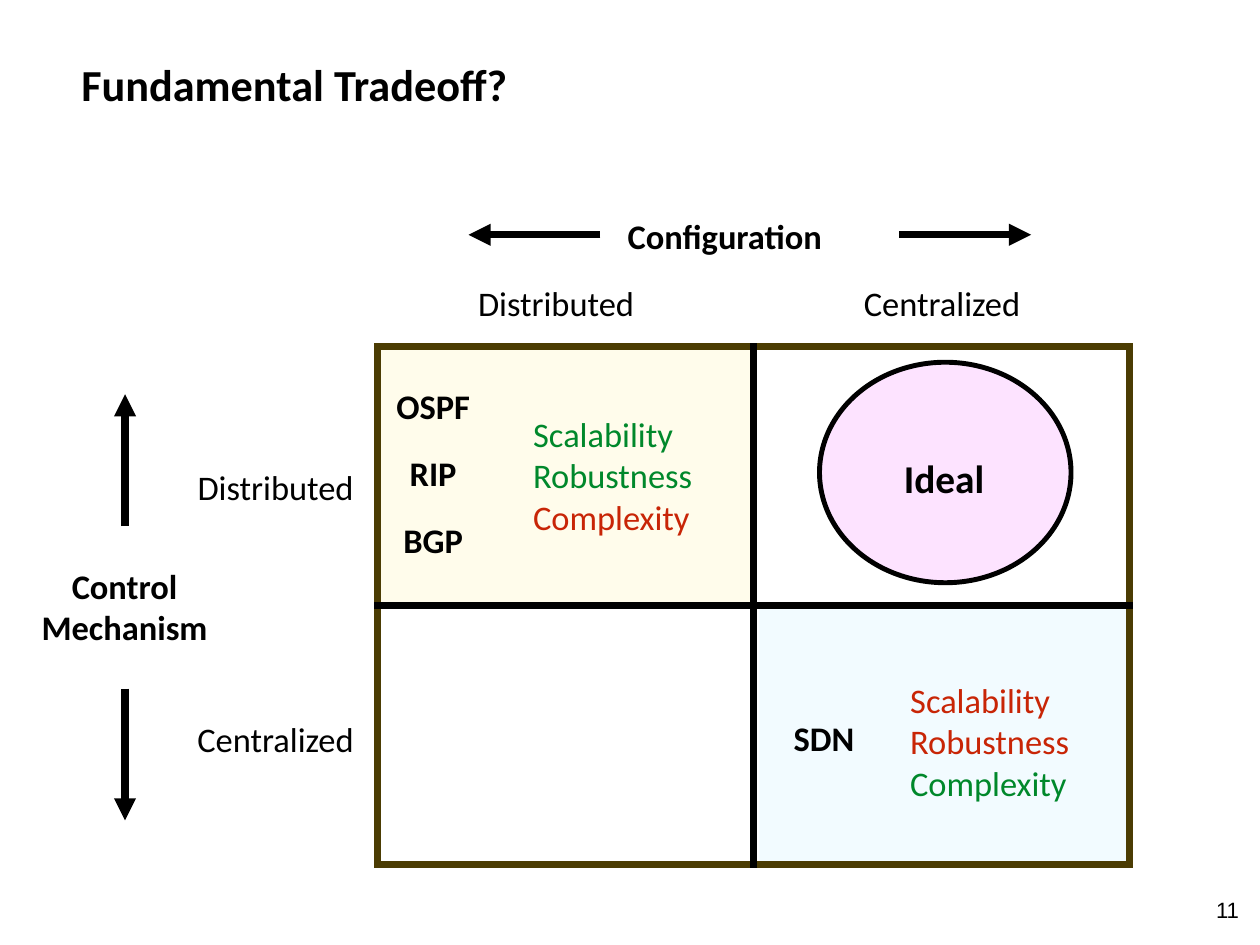
from dataclasses import dataclass

from lxml import etree
from pptx import Presentation
from pptx.dml.color import RGBColor
from pptx.enum.shapes import MSO_CONNECTOR, MSO_SHAPE
from pptx.enum.text import MSO_ANCHOR, PP_ALIGN
from pptx.oxml.ns import qn
from pptx.shapes.autoshape import Shape
from pptx.shapes.connector import Connector
from pptx.slide import Slide
from pptx.text.text import TextFrame
from pptx.util import Length, Pt

LEFT, CENTER = PP_ALIGN.LEFT, PP_ALIGN.CENTER
TOP, MIDDLE = MSO_ANCHOR.TOP, MSO_ANCHOR.MIDDLE
RECT, OVAL = MSO_SHAPE.RECTANGLE, MSO_SHAPE.OVAL
STRAIGHT = MSO_CONNECTOR.STRAIGHT

# Square grid: 128 columns by 96 rows of 8 points
COLS, ROWS, CELL = 128, 96, 8


@dataclass(frozen=True)
class Theme:
    font: str = "Calibri"
    page_font: str = "Arial"
    title: int = 36
    ideal: int = 32
    body: int = 28
    page: int = 18
    thick: int = 6
    ring: int = 4
    inset: float = 4.5
    black: str = "000000"
    good: str = "00882B"
    bad: str = "C82506"
    frame: str = "4B3C03"
    cream: str = "FFFCEB"
    ice: str = "F2FBFF"
    pink: str = "FDE3FF"


T = Theme()


@dataclass(frozen=True)
class Box:
    x: float
    y: float
    w: float
    h: float


@dataclass(frozen=True)
class Label:
    text: str
    box: Box
    bold: bool = False
    align: PP_ALIGN = LEFT
    size: int = T.body
    font: str = T.font
    colors: tuple[str, ...] = (T.black,)


@dataclass(frozen=True)
class Panel:
    kind: MSO_SHAPE
    box: Box
    fill: str = ""
    line: str = ""
    width: int = T.thick


@dataclass(frozen=True)
class Arrow:
    x: float
    y: float
    dx: float = 0
    dy: float = 0


def grid(n: float) -> Length:
    return Pt(n * CELL)


def place(box: Box) -> tuple[Length, Length, Length, Length]:
    return grid(box.x), grid(box.y), grid(box.w), grid(box.h)


def write(frame: TextFrame, label: Label, anchor: MSO_ANCHOR = TOP) -> None:
    frame.margin_left = frame.margin_right = Pt(T.inset)
    frame.margin_top = frame.margin_bottom = Pt(T.inset)
    frame.vertical_anchor = anchor
    frame.text = label.text
    for i, para in enumerate(frame.paragraphs):
        para.alignment = label.align
        font = para.font
        font.name, font.size, font.bold = label.font, Pt(label.size), label.bold
        font.color.rgb = RGBColor.from_string(label.colors[i % len(label.colors)])


def add_label(slide: Slide, label: Label) -> None:
    frame = slide.shapes.add_textbox(*place(label.box)).text_frame
    frame.word_wrap = False
    write(frame, label)


def add_panel(slide: Slide, panel: Panel) -> Shape:
    shape = slide.shapes.add_shape(panel.kind, *place(panel.box))
    shape.shadow.inherit = False
    if panel.fill:
        shape.fill.solid()
        shape.fill.fore_color.rgb = RGBColor.from_string(panel.fill)
    else:
        shape.fill.background()
    if panel.line:
        shape.line.color.rgb = RGBColor.from_string(panel.line)
        shape.line.width = Pt(panel.width)
        edge = shape._element.spPr.find(qn("a:ln"))
        etree.SubElement(edge, qn("a:miter"), lim="800000")
    else:
        shape.line.fill.background()
    return shape


def add_line(slide: Slide, arrow: Arrow, head: bool = True) -> Connector:
    ends = arrow.x, arrow.y, arrow.x + arrow.dx, arrow.y + arrow.dy
    line = slide.shapes.add_connector(STRAIGHT, *map(grid, ends))
    line.line.color.rgb = RGBColor.from_string(T.black)
    line.line.width = Pt(T.thick)
    props = line._element.spPr
    edge = props.find(qn("a:ln"))
    if head:
        etree.SubElement(edge, qn("a:tailEnd"), type="triangle")
    else:
        edge.set("cap", "sq")
    etree.SubElement(props, qn("a:effectLst"))
    return line


# Quadrants, frame and ideal spot
TINTS = (
    Panel(RECT, Box(77.15, 61.75, 37.7, 26.4), T.ice),
    Panel(RECT, Box(38.7, 35.4, 37.7, 26.4), T.cream),
    Panel(OVAL, Box(83.25, 36.8, 25.55, 22.4), T.pink, T.black, T.ring),
)
FRAME = Panel(RECT, Box(38.35, 35.2, 76.4, 52.6), line=T.frame)

# Axis arrows
REACH = 13.4
ARROWS = (
    Arrow(12.7, 53.45, dy=-REACH),
    Arrow(12.7, 69.95, dy=REACH),
    Arrow(61, 23.85, dx=-REACH),
    Arrow(91.35, 23.85, dx=REACH),
)

# Wording
TRAITS = "Scalability\nRobustness\nComplexity"
LABELS = (
    Label("Configuration", Box(63.2, 21.3, 25.5, 5.1), True),
    Label("Distributed", Box(48, 28.1, 18, 5)),
    Label("Centralized", Box(87.2, 28.1, 18, 5)),
    Label("Control\nMechanism", Box(2.15, 56.8, 21, 9.25), True, CENTER),
    Label("Distributed", Box(18, 46.8, 20, 5), align=CENTER),
    Label("Centralized", Box(18, 72.4, 20, 5), align=CENTER),
    Label("Ideal", Box(91.25, 45.6, 12, 5.75), True, size=T.ideal),
    Label("SDN", Box(79.2, 72.3, 9, 5.1), True, CENTER),
    Label(TRAITS, Box(53.6, 41.4, 18.25, 13), colors=(T.good, T.good, T.bad)),
    Label(TRAITS, Box(91.9, 68.4, 18.25, 13), colors=(T.bad, T.bad, T.good)),
    Label("11", Box(121.7, 90.5, 6, 3.6), align=CENTER, size=T.page, font=T.page_font),
)
PROTOCOLS = tuple(
    Label(name, Box(39.5, 38.6 + 6.8 * i, 9, 5.1), True, CENTER)
    for i, name in enumerate(("OSPF", "RIP", "BGP"))
)
TITLE = Label("Fundamental Tradeoff?", Box(7.7, 2.5, 112.5, 12), True, size=T.title)


def main() -> None:
    deck = Presentation()
    deck.slide_width, deck.slide_height = grid(COLS), grid(ROWS)
    slide = deck.slides.add_slide(deck.slide_layouts[5])

    # Title
    title = slide.shapes.title
    title.left, title.top, title.width, title.height = place(TITLE.box)
    write(title.text_frame, TITLE, MIDDLE)

    # Matrix, with its cross joined to the frame
    for panel in TINTS:
        add_panel(slide, panel)
    frame = add_panel(slide, FRAME)
    for start, end in ((1, 3), (2, 0)):
        line = add_line(slide, Arrow(FRAME.box.x, FRAME.box.y), head=False)
        line.begin_connect(frame, start)
        line.end_connect(frame, end)

    # Arrows and labels
    for arrow in ARROWS:
        add_line(slide, arrow)
    for label in LABELS + PROTOCOLS:
        add_label(slide, label)

    deck.save("out.pptx")


if __name__ == "__main__":
    main()
